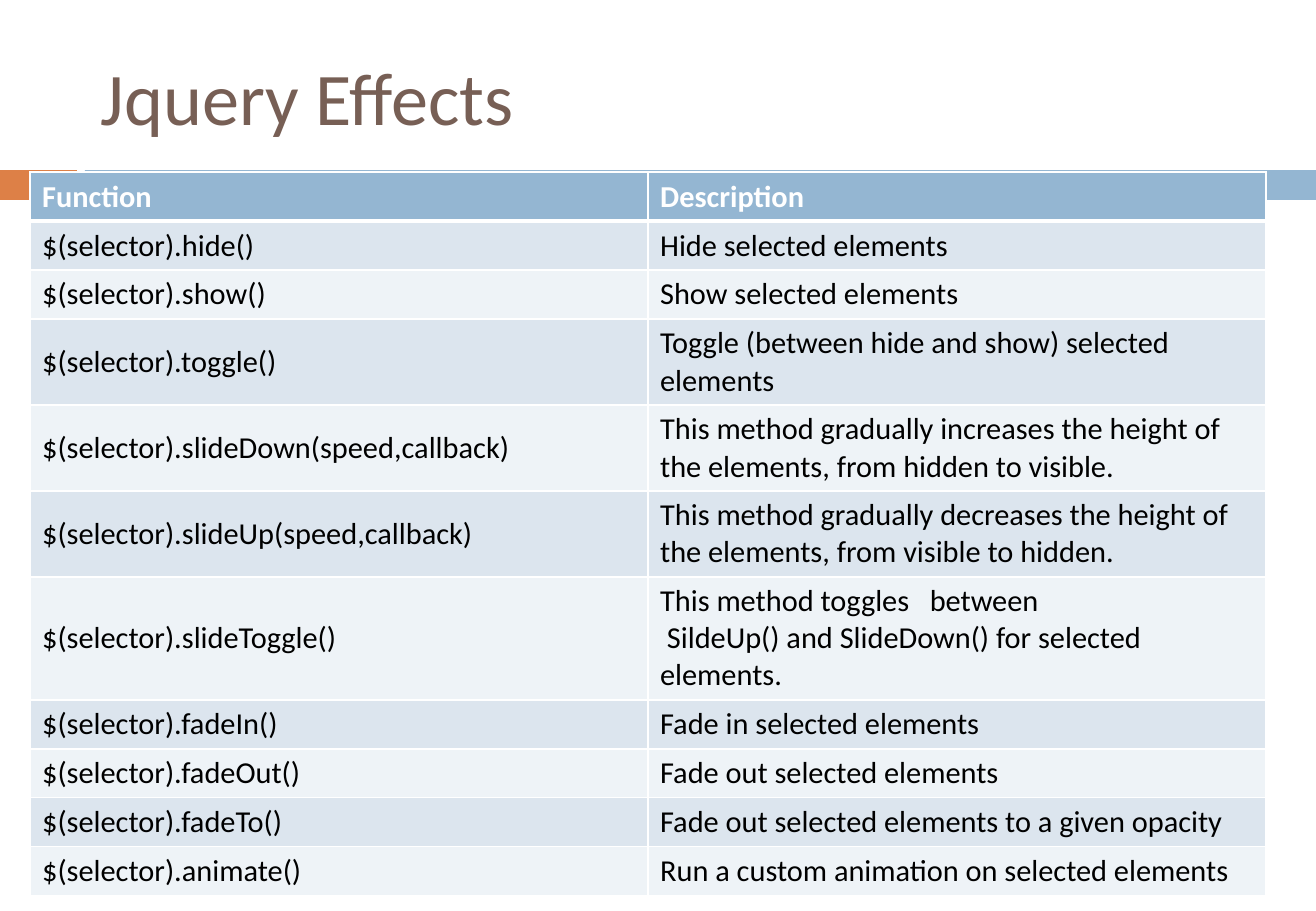
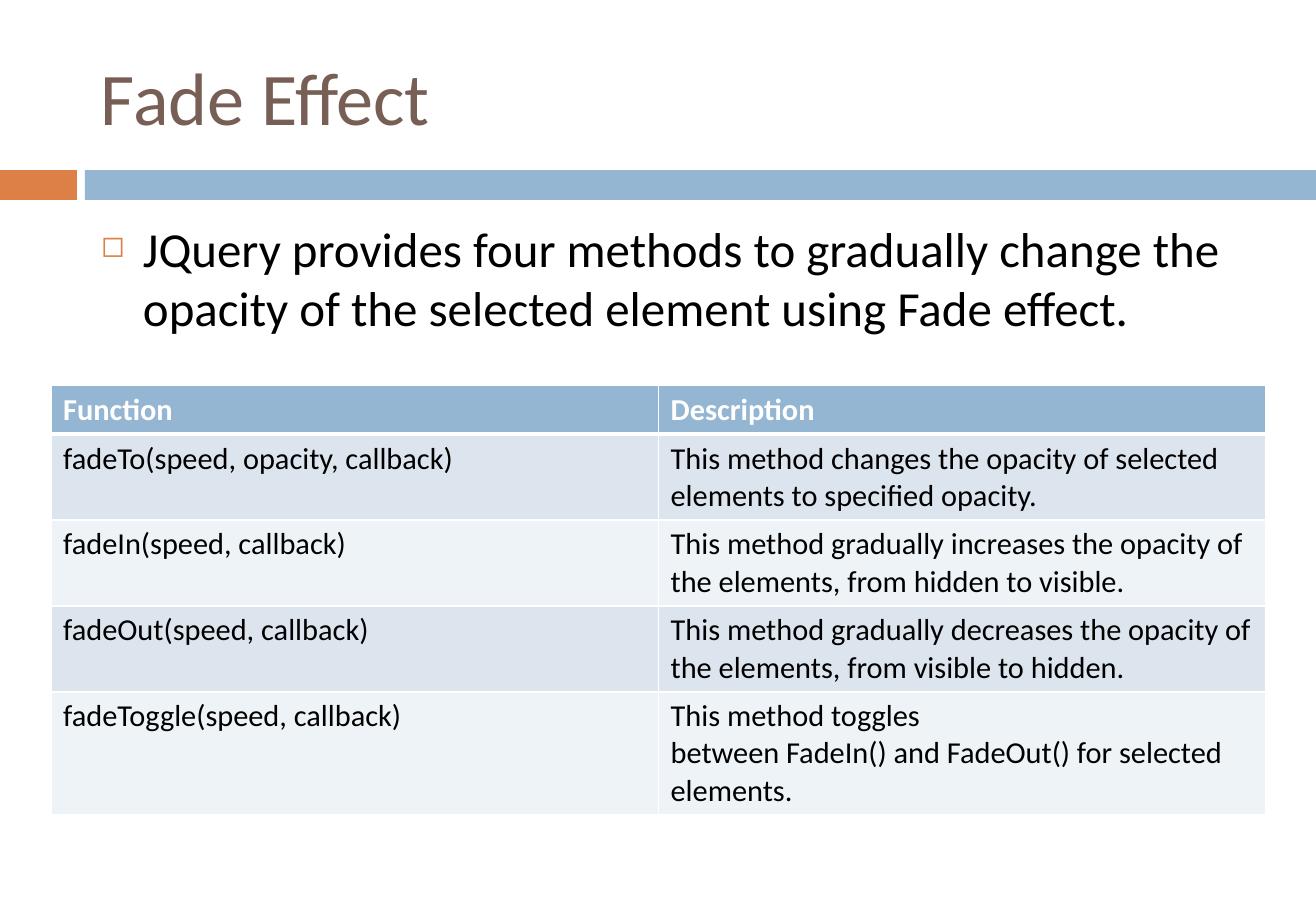
import pptx
import pptx.dml.color
import pptx.enum.shapes
import pptx.enum.text
import pptx.oxml.ns
import pptx.util
from dataclasses import dataclass
from lxml import etree

HEADER = ("Function", "Description")
SLIDES = [
    {
        "title": "Jquery Effects",
        "bullets": [],
        "table": {"left": 30, "top": 172, "width": 1236, "centred": True},
        # function, description, number of text lines
        "rows": [
            ("$(selector).hide()", "Hide selected elements", 1),
            ("$(selector).show()", "Show selected elements", 1),
            ("$(selector).toggle()", "Toggle (between hide and show) selected elements", 2),
            ("$(selector).slideDown(speed,callback)",
             "This method gradually increases the height of the elements, from hidden to visible.", 2),
            ("$(selector).slideUp(speed,callback)",
             "This method gradually decreases the height of the elements, from visible to hidden.", 2),
            ("$(selector).slideToggle()",
             "This method toggles   between \u00a0SildeUp()\u00a0and\u00a0SlideDown()\u00a0for selected elements.", 3),
            ("$(selector).fadeIn()", "Fade in selected elements", 1),
            ("$(selector).fadeOut()", "Fade out selected elements", 1),
            ("$(selector).fadeTo()", "Fade out selected elements to a given opacity", 1),
            ("$(selector).animate()", "Run a custom animation on selected elements", 1),
        ],
    },
    {
        "title": "Fade Effect",
        "bullets": ["JQuery provides four methods to gradually change the opacity "
                    "of the selected element using Fade effect."],
        "table": {"left": 51, "top": 385, "width": 1215, "centred": False},
        "rows": [
            ("fadeTo(speed, opacity, callback)",
             "This method changes the opacity of selected elements to specified opacity.", 2),
            ("fadeIn(speed, callback)",
             "This method gradually increases the opacity of the elements, from hidden to visible.", 2),
            ("fadeOut(speed, callback)",
             "This method gradually decreases the opacity of the elements, from visible to hidden.", 2),
            ("fadeToggle(speed, callback)",
             "This method toggles between\u00a0FadeIn()\u00a0and\u00a0FadeOut()\u00a0for selected elements.", 3),
        ],
    },
]


@dataclass(frozen=True)
class Theme:
    """Colours, font and type sizes of the slides."""
    font: str = "Calibri"
    title: str = "775F55"
    accent: str = "DD8047"
    band: str = "94B6D2"
    stripes: tuple = ("DCE5EE", "EEF3F7")
    text: str = "000000"
    white: str = "FFFFFF"
    title_size: int = 44
    body_size: int = 29
    table_size: int = 18


THEME = Theme()
SLIDE_SIZE = (1316, 911)
TITLE_BOX = (89, 30, 1174, 131)
BODY_BOX = (89, 213, 1174, 598)
BANDS = [((0, 170, 77, 30), THEME.accent), ((85, 170, 1231, 30), THEME.band)]
BULLET_INDENT = 42
LINE_HEIGHT, CELL_PADDING = 37, 12
THIN, THICK = 1, 3
MIDDLE = pptx.enum.text.MSO_ANCHOR.MIDDLE
TOP = pptx.enum.text.MSO_ANCHOR.TOP


def emu(pixels):
    """Turn pixels into EMU at 121.5 pixels to the inch."""
    return pptx.util.Emu(round(pixels * 914400 / 121.5))


def rgb(value):
    """Return a colour object for a hex string."""
    return pptx.dml.color.RGBColor.from_string(value)


def add_element(parent, tag, **attributes):
    """Append a DrawingML element to a parent."""
    return etree.SubElement(parent, pptx.oxml.ns.qn(tag), attributes)


def add_run(paragraph, text, size, color, bold=False):
    """Add one formatted run to a paragraph."""
    run = paragraph.add_run()
    run.text = text
    run.font.name = THEME.font
    run.font.size = pptx.util.Pt(size)
    run.font.bold = bold
    run.font.color.rgb = rgb(color)


def add_text_frame(slide, box, anchor):
    """Add a wrapping text box and return its text frame."""
    frame = slide.shapes.add_textbox(*map(emu, box)).text_frame
    frame.word_wrap = True
    frame.vertical_anchor = anchor
    return frame


def add_base(slide, title):
    """Draw the two bands and the title that every slide has."""
    for box, color in BANDS:
        band = slide.shapes.add_shape(
            pptx.enum.shapes.MSO_SHAPE.RECTANGLE, *map(emu, box))
        band.shadow.inherit = False
        band.fill.solid()
        band.fill.fore_color.rgb = rgb(color)
        band.line.fill.background()
    frame = add_text_frame(slide, TITLE_BOX, MIDDLE)
    add_run(frame.paragraphs[0], title, THEME.title_size, THEME.title)


def add_bullets(slide, bullets):
    """Write the bulleted body text."""
    frame = add_text_frame(slide, BODY_BOX, TOP)
    for index, text in enumerate(bullets):
        paragraph = frame.add_paragraph() if index else frame.paragraphs[0]
        paragraph.space_before = pptx.util.Pt(7)
        properties = paragraph._p.get_or_add_pPr()
        properties.set("marL", str(emu(BULLET_INDENT)))
        properties.set("indent", str(-emu(BULLET_INDENT)))
        color = add_element(properties, "a:buClr")
        add_element(color, "a:srgbClr", val=THEME.accent)
        add_element(properties, "a:buSzPct", val="60000")
        add_element(properties, "a:buChar", char="\u25fb")
        add_run(paragraph, text, THEME.body_size, THEME.text)


def set_borders(cell, top, bottom):
    """Give a cell white borders; top and bottom widths are in points."""
    properties = cell._tc.get_or_add_tcPr()
    widths = {"a:lnL": THIN, "a:lnR": THIN, "a:lnT": top, "a:lnB": bottom}
    for tag, width in widths.items():
        line = add_element(properties, tag, w=str(pptx.util.Pt(width)))
        fill = add_element(line, "a:solidFill")
        add_element(fill, "a:srgbClr", val=THEME.white)


def add_function_table(slide, rows, left, top, width, centred):
    """Add the two-column table with its header and striped rows."""
    entries = [(*HEADER, 1), *rows]
    heights = [CELL_PADDING + LINE_HEIGHT * lines for *_, lines in entries]
    table = slide.shapes.add_table(
        len(entries), len(HEADER), *map(emu, (left, top, width, sum(heights)))).table
    for row_index, (*texts, _) in enumerate(entries):
        header = row_index == 0
        table.rows[row_index].height = emu(heights[row_index])
        fill = THEME.band if header else THEME.stripes[(row_index - 1) % 2]
        for column_index, text in enumerate(texts):
            cell = table.cell(row_index, column_index)
            cell.vertical_anchor = MIDDLE if centred else TOP
            set_borders(cell, top=THICK if row_index == 1 else THIN,
                        bottom=THICK if header else THIN)
            cell.fill.solid()
            cell.fill.fore_color.rgb = rgb(fill)
            add_run(cell.text_frame.paragraphs[0], text, THEME.table_size,
                    THEME.white if header else THEME.text, bold=header)


def main():
    """Build both slides and save the presentation."""
    presentation = pptx.Presentation()
    presentation.slide_width, presentation.slide_height = map(emu, SLIDE_SIZE)
    for content in SLIDES:
        slide = presentation.slides.add_slide(presentation.slide_layouts[6])
        add_base(slide, content["title"])
        if content["bullets"]:
            add_bullets(slide, content["bullets"])
        add_function_table(slide, content["rows"], **content["table"])
    presentation.save("out.pptx")


main()
